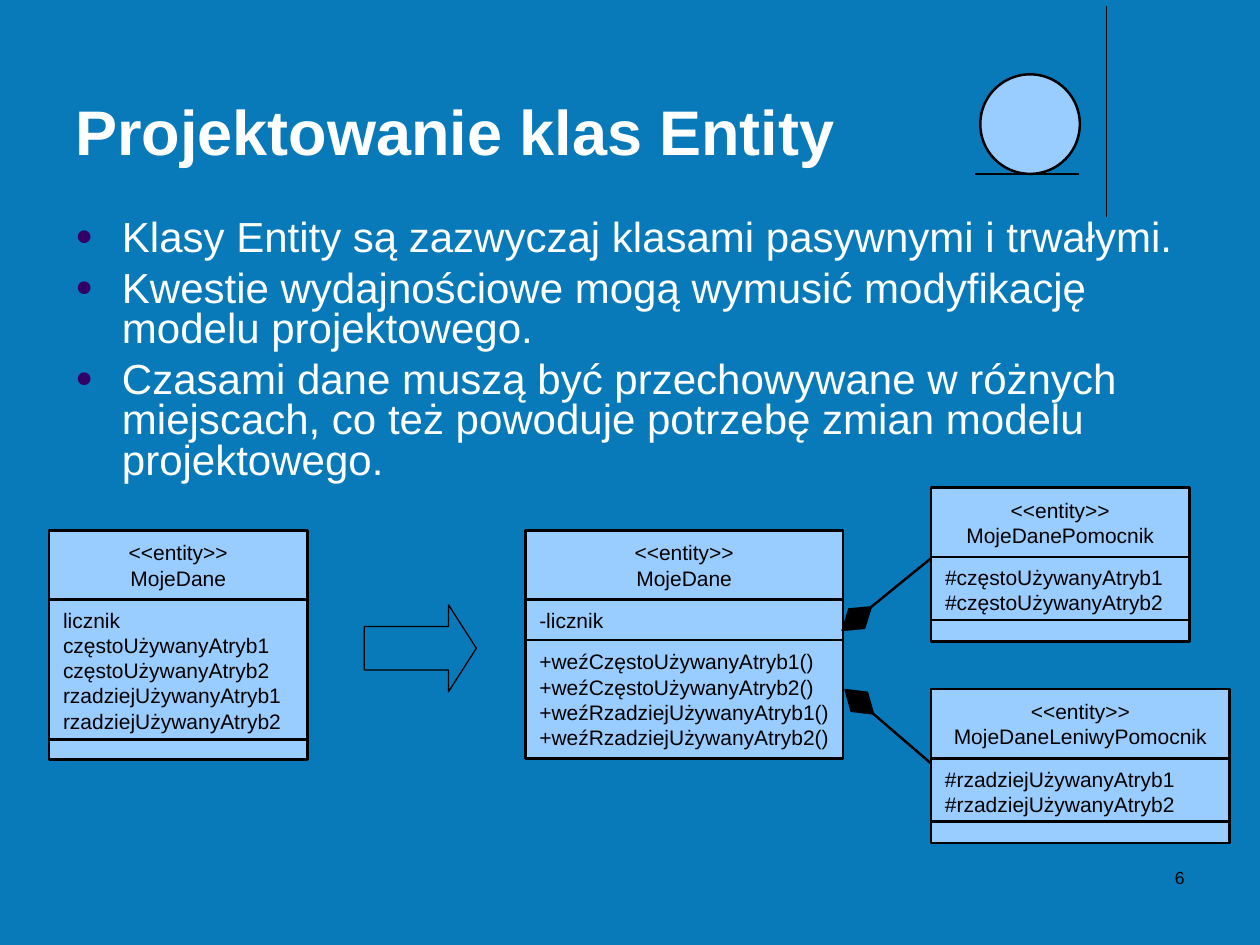
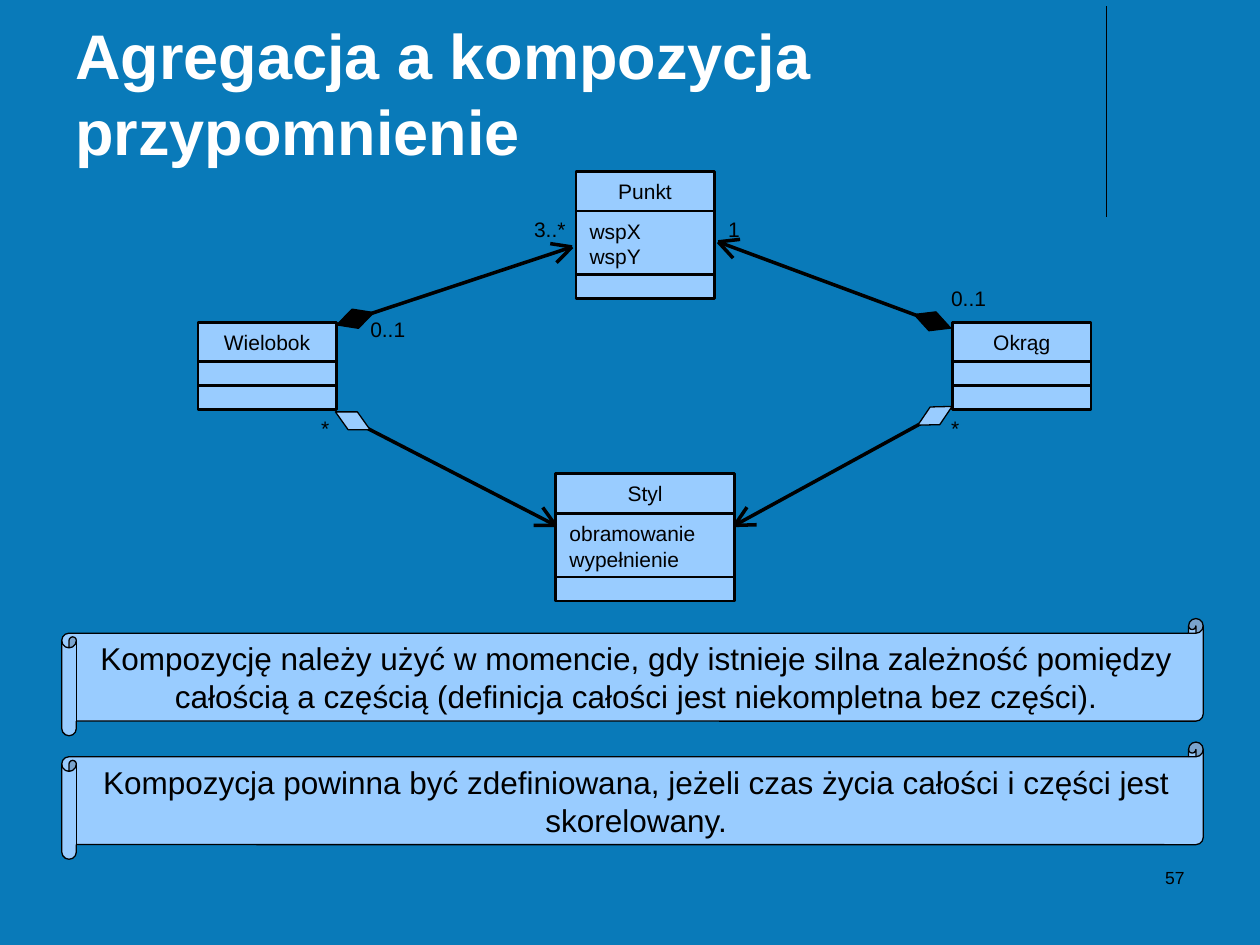
from dataclasses import dataclass
from math import atan2, cos, degrees, radians, sin
from typing import Any, NamedTuple

from lxml.etree import SubElement
from pptx import Presentation
from pptx.dml.color import RGBColor
from pptx.enum.shapes import MSO_CONNECTOR, MSO_SHAPE
from pptx.enum.text import MSO_ANCHOR, PP_ALIGN
from pptx.oxml.ns import qn
from pptx.util import Emu, Inches, Pt


@dataclass(frozen=True)
class Theme:
    """Colours, type sizes and line widths shared by all slides."""
    background: str = "097AB9"
    panel: str = "99CCFF"
    ink: str = "000000"
    light: str = "FFFFFF"
    bullet: str = "330066"
    font: str = "Arial"
    title: int = 36
    body: int = 24
    note: int = 18
    label: int = 12
    footer: int = 10
    hairline: float = 0
    rule: float = 0.75
    outline: float = 1.42


THEME = Theme()
WIDTH, HEIGHT = Inches(10), Inches(7.5)
CELL = WIDTH / 100  # square grid: 100 columns by 75 rows


class Point(NamedTuple):
    col: float
    row: float


class Area(NamedTuple):
    col: float
    row: float
    cols: float
    rows: float


class Insets(NamedTuple):
    left: float = 1
    top: float = 0.5
    right: float = 1
    bottom: float = 0.5


class Compartment(NamedTuple):
    rows: float
    lines: tuple[str, ...] = ()
    anchor: MSO_ANCHOR = MSO_ANCHOR.TOP


class UmlClass(NamedTuple):
    corner: Point
    cols: float
    name_rows: float
    name: tuple[str, ...]
    compartments: tuple[Compartment, ...]


class Link(NamedTuple):
    diamond: Point
    target: Point
    fill: str


class LinkStyle(NamedTuple):
    length: float
    thickness: float
    width: float
    arrowhead: bool


class Label(NamedTuple):
    area: Area
    text: str


NAME_INSETS = Insets(1.1, 0.6, 1.1, 0.6)
MEMBER_INSETS = Insets(1.1, 0.6, 0.5, 0.6)


def grid(*cells: float) -> list[Emu]:
    return [Emu(round(cell * CELL)) for cell in cells]


def apply(target: Any, formats: dict[str, Any]) -> None:
    for attribute, value in formats.items():
        setattr(target, attribute, value)


# Basic parts

def write(shape: Any, lines: tuple[str, ...], size: int, color: str = THEME.ink,
          bold: bool = False, align: PP_ALIGN = PP_ALIGN.LEFT,
          anchor: MSO_ANCHOR = MSO_ANCHOR.TOP, insets: Insets = Insets(),
          wrap: bool = True) -> list[Any]:
    frame = shape.text_frame
    left, top, right, bottom = grid(*insets)
    apply(frame, {"word_wrap": wrap, "vertical_anchor": anchor,
                  "margin_left": left, "margin_top": top,
                  "margin_right": right, "margin_bottom": bottom})
    frame.text = "\n".join(lines)
    for paragraph in frame.paragraphs:
        paragraph.alignment = align
        for run in paragraph.runs:
            apply(run.font, {"name": THEME.font, "size": Pt(size), "bold": bold})
            run.font.color.rgb = RGBColor.from_string(color)
    return list(frame.paragraphs)


def add_text(slide: Any, area: Area, lines: tuple[str, ...], size: int,
             **options: Any) -> list[Any]:
    return write(slide.shapes.add_textbox(*grid(*area)), lines, size, **options)


def add_figure(slide: Any, kind: MSO_SHAPE, area: Area, fill: str | None = THEME.panel,
               width: float = THEME.outline) -> Any:
    figure = slide.shapes.add_shape(kind, *grid(*area))
    figure.shadow.inherit = False
    if fill is None:
        figure.fill.background()
    else:
        figure.fill.solid()
        figure.fill.fore_color.rgb = RGBColor.from_string(fill)
    figure.line.color.rgb = RGBColor.from_string(THEME.ink)
    figure.line.width = Pt(width)
    return figure


def add_line(slide: Any, start: Point, end: Point, width: float) -> None:
    line = slide.shapes.add_connector(MSO_CONNECTOR.STRAIGHT, *grid(*start, *end))
    line.line.color.rgb = RGBColor.from_string(THEME.ink)
    line.line.width = Pt(width)
    SubElement(line._element.spPr, qn("a:effectLst"))


def add_bullet(paragraph: Any) -> None:
    properties = paragraph._p.get_or_add_pPr()
    indent = grid(3.7)[0]
    apply_xml = {"marL": indent, "indent": -indent}
    for attribute, value in apply_xml.items():
        properties.set(attribute, str(value))
    color = SubElement(properties, qn("a:buClr"))
    SubElement(color, qn("a:srgbClr"), val=THEME.bullet)
    SubElement(properties, qn("a:buSzPct"), val="70000")
    SubElement(properties, qn("a:buFont"), typeface=THEME.font)
    SubElement(properties, qn("a:buChar"), char="●")


# Parts of the class diagrams

def add_class(slide: Any, uml: UmlClass) -> None:
    col, row = uml.corner
    header = add_figure(slide, MSO_SHAPE.RECTANGLE, Area(col, row, uml.cols, uml.name_rows))
    write(header, uml.name, THEME.label, align=PP_ALIGN.CENTER,
          anchor=MSO_ANCHOR.MIDDLE, insets=NAME_INSETS)
    row += uml.name_rows
    for part in uml.compartments:
        members = add_figure(slide, MSO_SHAPE.RECTANGLE, Area(col, row, uml.cols, part.rows))
        if part.lines:
            write(members, part.lines, THEME.label, anchor=part.anchor, insets=MEMBER_INSETS)
        row += part.rows


def add_link(slide: Any, link: Link, style: LinkStyle) -> None:
    center, target = link.diamond, link.target
    angle = degrees(atan2(target.row - center.row, target.col - center.col))
    add_line(slide, center, target, style.width)
    diamond = add_figure(
        slide, MSO_SHAPE.DIAMOND,
        Area(center.col - style.length / 2, center.row - style.thickness / 2,
             style.length, style.thickness), link.fill, THEME.hairline)
    diamond.rotation = angle
    if style.arrowhead:
        for spread in (-27, 27):
            wing = radians(angle + 180 + spread)
            tip = Point(target.col + 1.75 * cos(wing), target.row + 1.75 * sin(wing))
            add_line(slide, target, tip, style.width)


# Frame shared by the slides

def start_slide(deck: Any, title: str, number: int) -> Any:
    slide = deck.slides.add_slide(deck.slide_layouts[6])
    slide.background.fill.solid()
    slide.background.fill.fore_color.rgb = RGBColor.from_string(THEME.background)
    add_line(slide, Point(87.8, 0.5), Point(87.8, 17.2), THEME.rule)
    add_text(slide, Area(5, 1.3, 82.5, 12.5), (title,), THEME.title,
             color=THEME.light, bold=True, anchor=MSO_ANCHOR.BOTTOM)
    add_text(slide, Area(71.7, 68.3, 23.3, 5), (str(number),), THEME.footer,
             align=PP_ALIGN.RIGHT)
    return slide


# Content: entity classes

ENTITY_POINTS = (
    "Klasy Entity są zazwyczaj klasami pasywnymi i trwałymi.",
    "Kwestie wydajnościowe mogą wymusić modyfikację modelu projektowego.",
    "Czasami dane muszą być przechowywane w różnych miejscach, "
    "co też powoduje potrzebę zmian modelu projektowego.",
)
STEREOTYPE = "<<entity>>"
ENTITY_CLASSES = (
    UmlClass(Point(3.9, 42.1), 20.5, 5.5, (STEREOTYPE, "MojeDane"), (
        Compartment(11.1, ("licznik", "częstoUżywanyAtryb1", "częstoUżywanyAtryb2",
                           "rzadziejUżywanyAtryb1", "rzadziejUżywanyAtryb2")),
        Compartment(1.6))),
    UmlClass(Point(41.7, 42.1), 25.2, 5.5, (STEREOTYPE, "MojeDane"), (
        Compartment(3.2, ("-licznik",)),
        Compartment(9.4, ("+weźCzęstoUżywanyAtryb1()", "+weźCzęstoUżywanyAtryb2()",
                          "+weźRzadziejUżywanyAtryb1()", "+weźRzadziejUżywanyAtryb2()"),
                    MSO_ANCHOR.MIDDLE))),
    UmlClass(Point(73.9, 38.7), 20.5, 5.5, (STEREOTYPE, "MojeDanePomocnik"), (
        Compartment(5, ("#częstoUżywanyAtryb1", "#częstoUżywanyAtryb2")),
        Compartment(1.7))),
    UmlClass(Point(73.9, 54.7), 23.7, 5.5, (STEREOTYPE, "MojeDaneLeniwyPomocnik"), (
        Compartment(5, ("#rzadziejUżywanyAtryb1", "#rzadziejUżywanyAtryb2")),
        Compartment(1.7))),
)
ENTITY_LINK_STYLE = LinkStyle(3, 2, THEME.outline, False)
ENTITY_LINKS = (
    Link(Point(68.2, 55.7), Point(73.9, 60.6), THEME.ink),
    Link(Point(68, 49.1), Point(73.9, 44.3), THEME.ink),
)

# Content: aggregation and composition

EMPTY = Compartment(1.9)
SHAPE_CLASSES = (
    UmlClass(Point(15.7, 25.6), 11, 3.1, ("Wielobok",), (EMPTY, EMPTY)),
    UmlClass(Point(45.7, 13.6), 11, 3.15, ("Punkt",),
             (Compartment(5.05, ("wspX", "wspY")), EMPTY)),
    UmlClass(Point(44.1, 37.6), 14.2, 3.15, ("Styl",),
             (Compartment(5.05, ("obramowanie", "wypełnienie")), EMPTY)),
    UmlClass(Point(75.6, 25.6), 11, 3.1, ("Okrąg",), (EMPTY, EMPTY)),
)
SHAPE_LINK_STYLE = LinkStyle(3.1, 1.6, THEME.hairline, True)
SHAPE_LINKS = (
    Link(Point(28, 33.4), Point(44.1, 41.7), THEME.panel),
    Link(Point(74.2, 33), Point(58.3, 41.7), THEME.panel),
    Link(Point(28.2, 25.3), Point(45.4, 19.6), THEME.ink),
    Link(Point(74, 25.5), Point(57, 19.2), THEME.ink),
)
MULTIPLICITIES = (
    Label(Area(28.4, 24.6, 4.8, 3), "0..1"),
    Label(Area(41.4, 16.7, 4.5, 3), "3..*"),
    Label(Area(56.8, 16.7, 2.9, 3), "1"),
    Label(Area(74.5, 22.2, 4.8, 3), "0..1"),
    Label(Area(74.5, 32.5, 2.6, 3), "*"),
    Label(Area(24.5, 32.5, 2.6, 3), "*"),
)
COMPOSITION_RULES = (
    "Kompozycję należy użyć w momencie, gdy istnieje silna zależność pomiędzy "
    "całością a częścią (definicja całości jest niekompletna bez części).",
    "Kompozycja powinna być zdefiniowana, jeżeli czas życia całości i części "
    "jest skorelowany.",
)


def build_entity_slide(deck: Any) -> None:
    slide = start_slide(deck, "Projektowanie klas Entity", 6)
    points = add_text(slide, Area(5, 17, 90, 27.4), ENTITY_POINTS, THEME.body,
                      color=THEME.light)
    for index, point in enumerate(points):
        apply(point, {"line_spacing": 0.8, "space_before": Pt(6 if index else 0)})
        add_bullet(point)

    # Entity symbol
    add_figure(slide, MSO_SHAPE.OVAL, Area(77.8, 5.9, 7.9, 7.9))
    add_line(slide, Point(77.4, 13.8), Point(85.6, 13.8), THEME.outline)

    # Class split into helpers
    for uml in ENTITY_CLASSES:
        add_class(slide, uml)
    split = add_figure(slide, MSO_SHAPE.RIGHT_ARROW, Area(28.9, 48, 8.9, 6.9),
                       None, THEME.hairline)
    split.adjustments[1] = 0.32
    for link in ENTITY_LINKS:
        add_link(slide, link, ENTITY_LINK_STYLE)


def build_composition_slide(deck: Any) -> None:
    slide = start_slide(deck, "Agregacja a kompozycja przypomnienie", 57)

    # Rules on scrolls
    for index, rule in enumerate(COMPOSITION_RULES):
        scroll = add_figure(slide, MSO_SHAPE.HORIZONTAL_SCROLL,
                            Area(4.9, 49.1 + 9.8 * index, 90.6, 9.3),
                            width=THEME.hairline)
        write(scroll, (rule,), THEME.note, align=PP_ALIGN.CENTER, anchor=MSO_ANCHOR.MIDDLE)

    # Class diagram
    for uml in SHAPE_CLASSES:
        add_class(slide, uml)
    for link in SHAPE_LINKS:
        add_link(slide, link, SHAPE_LINK_STYLE)
    for label in MULTIPLICITIES:
        add_text(slide, label.area, (label.text,), THEME.label, wrap=False)


def main() -> None:
    deck = Presentation()
    apply(deck, {"slide_width": WIDTH, "slide_height": HEIGHT})
    build_entity_slide(deck)
    build_composition_slide(deck)
    deck.save("out.pptx")


if __name__ == "__main__":
    main()
